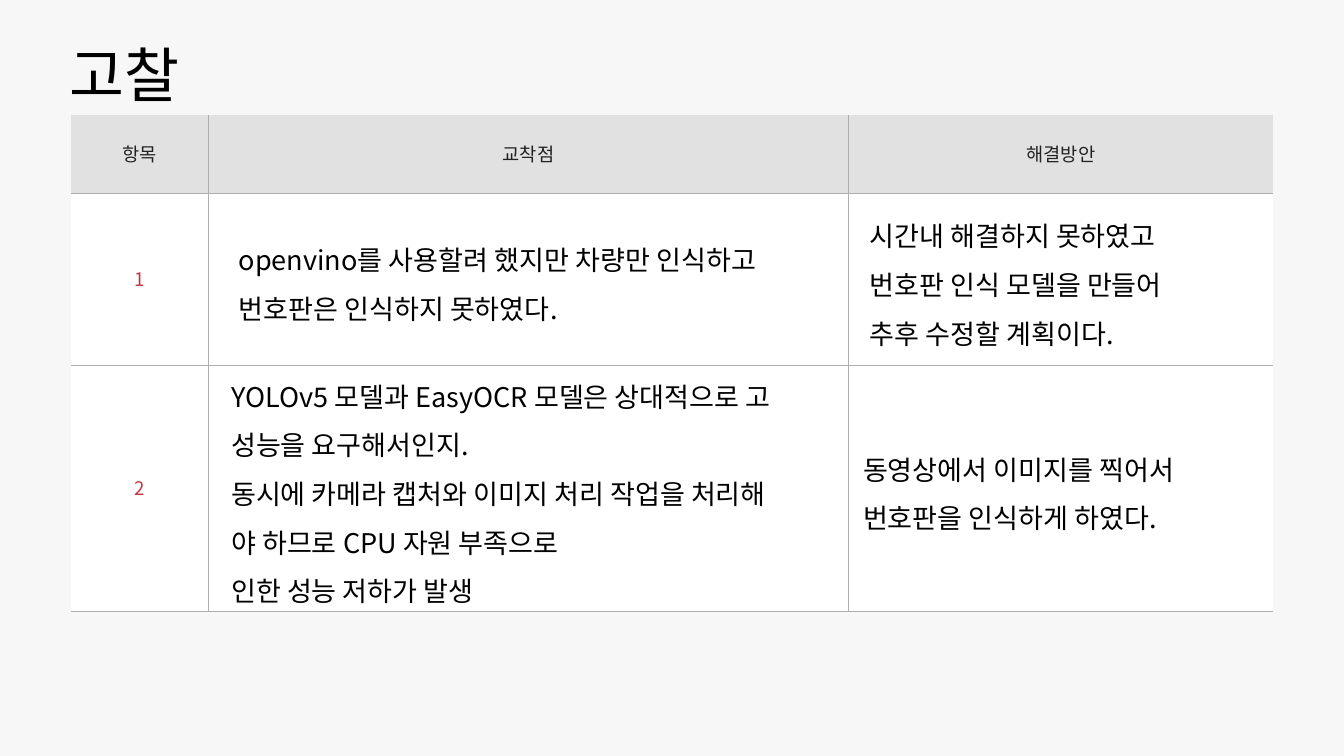
import pptx
import pptx.util
import pptx.dml.color
import pptx.enum.text
import pptx.oxml.ns
import lxml.etree
from dataclasses import dataclass

Pt = pptx.util.Pt
RGBColor = pptx.dml.color.RGBColor
Align = pptx.enum.text.PP_ALIGN
Anchor = pptx.enum.text.MSO_ANCHOR
qn = pptx.oxml.ns.qn


@dataclass(frozen=True)
class TextStyle:
    size: float
    font: str
    color: str
    spacing: float
    align: Align = Align.LEFT


class Theme:
    background = "F7F7F7"
    header_fill = "E1E1E1"
    body_fill = "FFFFFF"
    border = "AEAEAE"
    border_width = 0.5
    cell_margin = 1.4
    east_asian_font = "Noto Sans CJK KR"
    title = TextStyle(64, "Calibri", "000000", 1.16)
    header = TextStyle(20, "Calibri", "222222", 0.92, Align.CENTER)
    number = TextStyle(20, "Noto Sans CJK KR", "C13844", 0.92, Align.CENTER)
    body = TextStyle(29, "Noto Sans CJK KR", "000000", 1.24)


HEADERS = ["항목", "교착점", "해결방안"]
ROWS = [
    (
        ["1"],
        ["openvino를 사용할려 했지만 차량만 인식하고", "번호판은 인식하지 못하였다."],
        ["시간내 해결하지 못하였고", "번호판 인식 모델을 만들어", "추후 수정할 계획이다."],
    ),
    (
        ["2"],
        [
            "YOLOv5 모델과 EasyOCR 모델은 상대적으로 고",
            "성능을 요구해서인지.",
            "동시에 카메라 캡처와 이미지 처리 작업을 처리해",
            "야 하므로 CPU 자원 부족으로",
            "인한 성능 저하가 발생",
        ],
        ["동영상에서 이미지를 찍어서", "번호판을 인식하게 하였다."],
    ),
]
INDENTS = [(0, 31, 21), (0, 23, 14)]
COLUMN_WIDTHS = [147, 686, 455]
ROW_HEIGHTS = [83.5, 184.3, 167]


def write_lines(text_frame, lines, style, indent=0):
    for index, line in enumerate(lines):
        paragraph = text_frame.paragraphs[0] if index == 0 else text_frame.add_paragraph()
        paragraph.text = line
        paragraph.alignment = style.align
        paragraph.line_spacing = style.spacing
        font = paragraph.font
        font.size = Pt(style.size)
        font.name = style.font
        font.color.rgb = RGBColor.from_string(style.color)
        properties = paragraph._p.get_or_add_pPr()
        if indent:
            properties.set("marL", str(Pt(indent)))
            properties.set("indent", "0")
        east_asian = lxml.etree.SubElement(properties.find(qn("a:defRPr")), qn("a:ea"))
        east_asian.set("typeface", Theme.east_asian_font)


def set_borders(cell, visible_sides):
    properties = cell._tc.get_or_add_tcPr()
    for side in "LRTB":
        line = lxml.etree.SubElement(properties, qn(f"a:ln{side}"))
        line.set("w", str(Pt(Theme.border_width)))
        if side in visible_sides:
            fill = lxml.etree.SubElement(line, qn("a:solidFill"))
            lxml.etree.SubElement(fill, qn("a:srgbClr")).set("val", Theme.border)
        else:
            lxml.etree.SubElement(line, qn("a:noFill"))


def fill_cell(cell, lines, style, fill, sides, indent=0):
    margin = Pt(Theme.cell_margin)
    cell.margin_left = cell.margin_right = margin
    cell.margin_top = cell.margin_bottom = margin
    cell.vertical_anchor = Anchor.MIDDLE
    set_borders(cell, sides)
    cell.fill.solid()
    cell.fill.fore_color.rgb = RGBColor.from_string(fill)
    write_lines(cell.text_frame, lines, style, indent)


def add_title(slide, left, top, width, height):
    text_box = slide.shapes.add_textbox(Pt(left), Pt(top), Pt(width), Pt(height))
    text_frame = text_box.text_frame
    text_frame.word_wrap = True
    text_frame.vertical_anchor = Anchor.MIDDLE
    text_frame.margin_left = text_frame.margin_right = 0
    text_frame.margin_top = text_frame.margin_bottom = 0
    write_lines(text_frame, ["고찰"], Theme.title)


def add_review_table(slide, left, top, width, height):
    table = slide.shapes.add_table(
        len(ROW_HEIGHTS), len(COLUMN_WIDTHS), Pt(left), Pt(top), Pt(width), Pt(height)
    ).table
    table.horz_banding = False
    for column, share in zip(table.columns, COLUMN_WIDTHS):
        column.width = Pt(width * share / sum(COLUMN_WIDTHS))
    for row, share in zip(table.rows, ROW_HEIGHTS):
        row.height = Pt(height * share / sum(ROW_HEIGHTS))

    last_column = len(COLUMN_WIDTHS) - 1
    for column in range(len(COLUMN_WIDTHS)):
        sides = "B" + ("L" if column else "") + ("R" if column < last_column else "")
        fill_cell(table.cell(0, column), [HEADERS[column]], Theme.header, Theme.header_fill, sides)
        style = Theme.body if column else Theme.number
        for row, (contents, indents) in enumerate(zip(ROWS, INDENTS), start=1):
            fill_cell(
                table.cell(row, column), contents[column], style,
                Theme.body_fill, sides + "T", indents[column],
            )


def main():
    presentation = pptx.Presentation()
    presentation.slide_width = Pt(1440)
    presentation.slide_height = Pt(810)
    slide = presentation.slides.add_slide(presentation.slide_layouts[6])
    slide.background.fill.solid()
    slide.background.fill.fore_color.rgb = RGBColor.from_string(Theme.background)
    add_review_table(slide, 76.3, 123.1, sum(COLUMN_WIDTHS), sum(ROW_HEIGHTS))
    add_title(slide, 75, 27.4, 249, 90)
    presentation.save("out.pptx")


if __name__ == "__main__":
    main()
